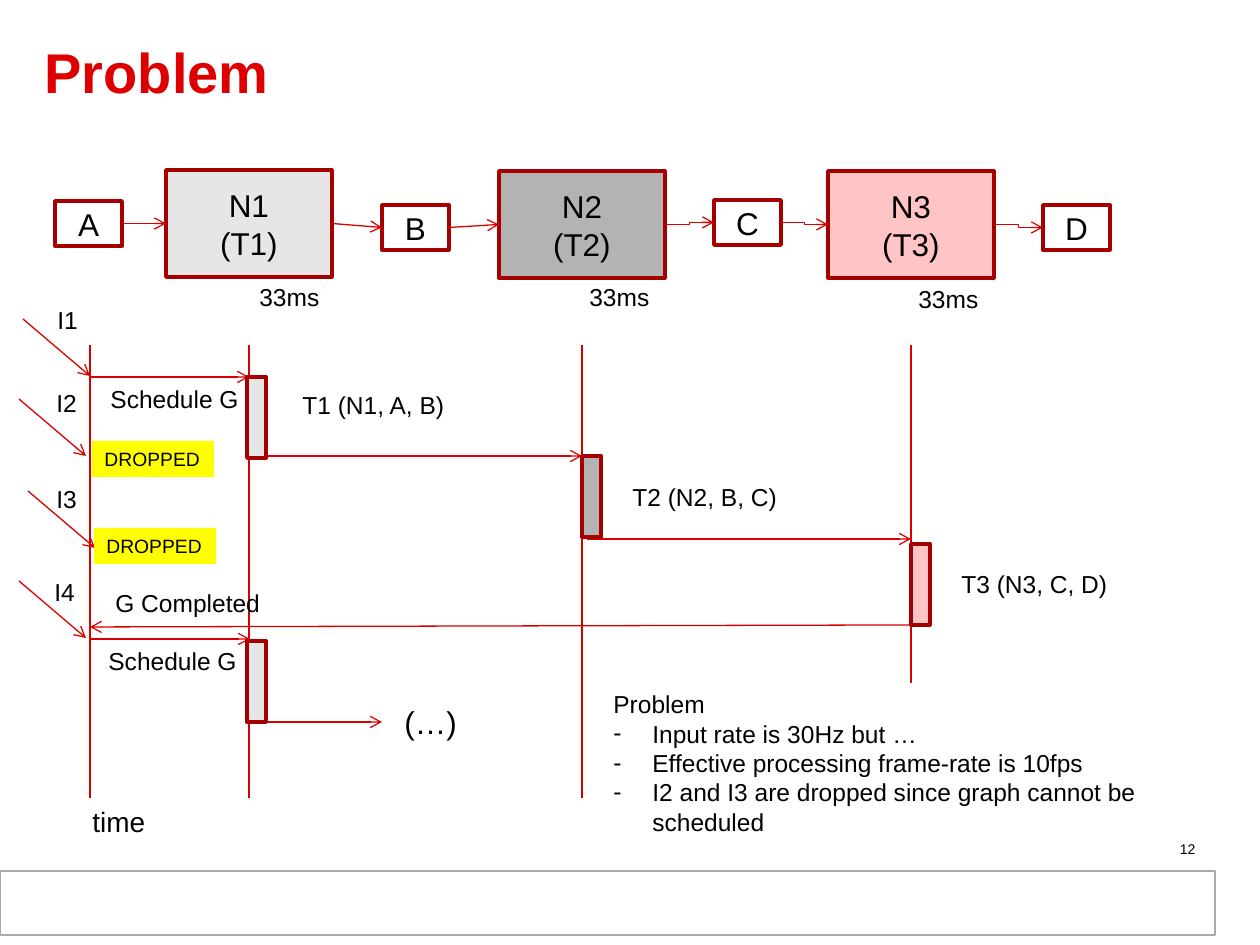
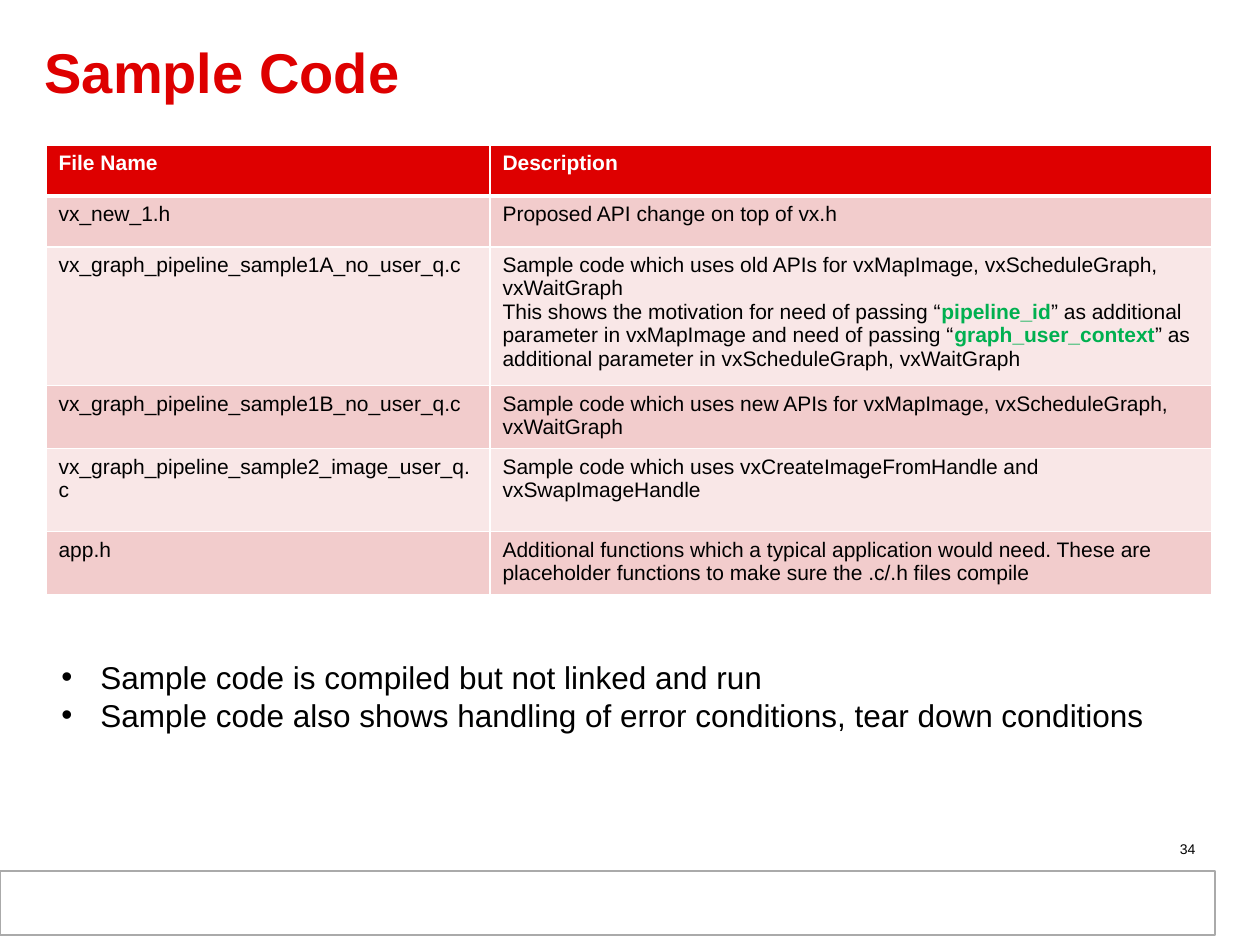
"""Build two slides: a graph scheduling problem and its sample code."""
from lxml import etree
from pptx import Presentation
from pptx.dml.color import RGBColor
from pptx.enum.shapes import MSO_CONNECTOR, MSO_SHAPE
from pptx.enum.text import MSO_ANCHOR, PP_ALIGN
from pptx.oxml.ns import qn
from pptx.util import Pt

RECT = MSO_SHAPE.RECTANGLE
LINE, ELBOW = MSO_CONNECTOR.STRAIGHT, MSO_CONNECTOR.ELBOW
LEFT, CENTER, RIGHT = PP_ALIGN.LEFT, PP_ALIGN.CENTER, PP_ALIGN.RIGHT
TOP, MIDDLE = MSO_ANCHOR.TOP, MSO_ANCHOR.MIDDLE

BLACK = RGBColor(0x00, 0x00, 0x00)
WHITE = RGBColor(0xFF, 0xFF, 0xFF)
RED = RGBColor(0xDE, 0x00, 0x00)
WIRE = RGBColor(0xD9, 0x00, 0x00)
EDGE = RGBColor(0xA4, 0x00, 0x00)
LIGHT = RGBColor(0xE6, 0xE6, 0xE6)
GRAY = RGBColor(0xB3, 0xB3, 0xB3)
PINK = RGBColor(0xFF, 0xC5, 0xC5)
YELLOW = RGBColor(0xFF, 0xFF, 0x00)
GREEN = RGBColor(0x00, 0xB0, 0x50)
FRAME = RGBColor(0xAA, 0xAA, 0xAA)
ROSE = RGBColor(0xF2, 0xCC, 0xCC)
BLUSH = RGBColor(0xF9, 0xE7, 0xE7)

FONT = "Arial"
PX = 914400 // 126
INDENT = 39

BIG, SMALL, BAR = (166, 107), (67, 45), (19, 81)
NODES = [
    ("A", 55, 201, SMALL, None),
    ("N1\n(T1)", 166, 170, BIG, LIGHT),
    ("B", 382, 205, SMALL, None),
    ("N2\n(T2)", 499, 171, BIG, GRAY),
    ("C", 714, 200, SMALL, None),
    ("N3\n(T3)", 828, 171, BIG, PINK),
    ("D", 1043, 205, SMALL, None),
]
LIVES = [90, 249, 582, 911]
LIFE_TOP, LIFE_END = 345, 798
BARS = [(247, 377, LIGHT), (582, 456, GRAY), (911, 544, PINK), (247, 641, LIGHT)]
CALLS = [
    (90, 377, 249, 377), (249, 456, 582, 456), (587, 539, 911, 539),
    (912, 625, 90, 627), (90, 639, 250, 639), (250, 722, 382, 722),
]
INPUTS = [(23, 319), (19, 399), (28, 491), (19, 581)]
STEP = (67, 57)
LABELS = [
    ("33ms", 247, 276, 86, 14), ("33ms", 577, 276, 86, 14),
    ("33ms", 906, 278, 86, 14),
    ("Schedule G", 98, 378, 155, 14), ("G Completed", 103, 582, 188, 14),
    ("T1 (N1, A, B)", 290, 384, 184, 14), ("T2 (N2, B, C)", 620, 476, 184, 14),
    ("T3 (N3, C, D)", 949, 563, 184, 14), ("Schedule G", 96, 640, 155, 14),
    ("(…)", 392, 697, 78, 18),
    ("I1", 45, 299, 155, 14), ("I2", 44, 382, 155, 14),
    ("I3", 44, 478, 155, 14), ("I4", 42, 571, 155, 14),
    ("time", 80, 798, 80, 16),
]
DROPS = [(92, 441), (94, 528)]
ISSUES = [
    "Input rate is 30Hz but …",
    "Effective processing frame-rate is 10fps",
    "I2 and I3 are dropped since graph cannot be scheduled",
]

COLS = [444, 722]
ROWS = [51, 51, 130, 59, 83, 60]
FILES = [
    ("File Name", ["Description"]),
    ("vx_new_1.h", ["Proposed API change on top of vx.h"]),
    ("vx_graph_pipeline_sample1A_no_user_q.c", [
        "Sample code which uses old APIs for vxMapImage, vxScheduleGraph, vxWaitGraph",
        [("This shows the motivation for need of passing “", False),
         ("pipeline_id", True),
         ("” as additional parameter in vxMapImage and need of passing “", False),
         ("graph_user_context", True),
         ("” as additional parameter in vxScheduleGraph, vxWaitGraph", False)],
    ]),
    ("vx_graph_pipeline_sample1B_no_user_q.c", [
        "Sample code which uses new APIs for vxMapImage, vxScheduleGraph, vxWaitGraph"]),
    ("vx_graph_pipeline_sample2_image_user_q.c", [
        "Sample code which uses vxCreateImageFromHandle and vxSwapImageHandle"]),
    ("app.h", [
        "Additional functions which a typical application would need. These are "
        "placeholder functions to make sure the .c/.h files compile"]),
]
NOTES = [
    "Sample code is compiled but not linked and run",
    "Sample code also shows handling of error conditions, tear down conditions",
]


def px(*vals):
    return [round(val * PX) for val in vals]


def add_run(para, text, size, color=BLACK, bold=False):
    run = para.add_run()
    run.text = text
    font = run.font
    font.name, font.size, font.bold = FONT, Pt(size), bold
    font.color.rgb = color


def fill_text(frame, lines, size, color=BLACK, bold=False, align=LEFT):
    """Write each line, a string or a list of (text, marked) pairs, as a paragraph."""
    for num, line in enumerate(lines):
        para = frame.add_paragraph() if num else frame.paragraphs[0]
        para.alignment = align
        for text, mark in [(line, False)] if isinstance(line, str) else line:
            add_run(para, text, size, GREEN if mark else color, mark or bold)


def add_bullet(para, mark):
    props = para._p.get_or_add_pPr()
    props.set("marL", str(INDENT * PX))
    props.set("indent", str(-INDENT * PX))
    font = etree.SubElement(props, qn("a:buFont"))
    font.set("typeface", FONT)
    etree.SubElement(props, qn("a:buChar")).set("char", mark)


def add_box(slide, at, fill=None, edge=None, width=2, lines=(), size=18,
            align=CENTER, anchor=MIDDLE):
    box = slide.shapes.add_shape(RECT, *px(*at))
    box.shadow.inherit = False
    if fill is None:
        box.fill.background()
    else:
        box.fill.solid()
        box.fill.fore_color.rgb = fill
    if edge is None:
        box.line.fill.background()
    else:
        box.line.color.rgb, box.line.width = edge, Pt(width)
    frame = box.text_frame
    frame.word_wrap, frame.vertical_anchor = True, anchor
    fill_text(frame, lines, size, align=align)
    return box


def add_label(slide, at, lines, size, align=LEFT):
    frame = slide.shapes.add_textbox(*px(*at)).text_frame
    frame.word_wrap = True
    fill_text(frame, lines, size, align=align)
    return frame


def add_wire(slide, ends, arrow=True, kind=LINE):
    wire = slide.shapes.add_connector(kind, *px(*ends))
    wire.line.color.rgb, wire.line.width = WIRE, Pt(0.75)
    if arrow:
        tail = etree.SubElement(wire.line._get_or_add_ln(), qn("a:tailEnd"))
        tail.set("type", "arrow")
    etree.SubElement(wire._element.spPr, qn("a:effectLst"))


def add_slide(deck, title, page):
    slide = deck.slides.add_slide(deck.slide_layouts[5])
    add_box(slide, (6, 872, 1205, 63), WHITE)
    add_box(slide, (0, 871, 1215, 64), WHITE, FRAME, 0.75)
    head = slide.shapes.title
    head.left, head.top, head.width, head.height = px(32, 20, 1165, 112)
    frame = head.text_frame
    frame.vertical_anchor, frame.word_wrap = MIDDLE, True
    fill_text(frame, [title], 32, RED, True)
    frame.paragraphs[0].line_spacing = 0.85
    add_label(slide, (915, 834, 293, 29), [page], 8, RIGHT)
    return slide


def draw_flow(slide):
    for text, left, top, size, fill in NODES:
        add_box(slide, (left, top, *size), fill, EDGE, lines=text.split("\n"))
    for num, (one, two) in enumerate(zip(NODES, NODES[1:])):
        (_, left, top, (wide, high), _), (_, end, low, (_, tall), _) = one, two
        add_wire(slide, (left + wide, top + high / 2, end, low + tall / 2),
                 kind=LINE if num < 3 else ELBOW)


def draw_time(slide):
    for left in LIVES:
        add_wire(slide, (left, LIFE_TOP, left, LIFE_END), arrow=False)
    for ends in CALLS:
        add_wire(slide, ends)
    for left, top in INPUTS:
        add_wire(slide, (left, top, left + STEP[0], top + STEP[1]))
    for left, top, fill in BARS:
        add_box(slide, (left, top, *BAR), fill, EDGE)
    for text, left, top, wide, size in LABELS:
        add_label(slide, (left, top, wide, size * 3), [text], size)
    for left, top in DROPS:
        add_box(slide, (left, top, 122, 36), YELLOW, lines=["DROPPED"],
                size=11, align=LEFT, anchor=TOP)
    box = add_box(slide, (601, 683, 610, 161), WHITE, lines=["Problem"] + ISSUES,
                  size=14, align=LEFT, anchor=TOP)
    for para in box.text_frame.paragraphs[1:]:
        add_bullet(para, "-")


def add_edges(cell, base):
    props = cell._tc.get_or_add_tcPr()
    for num, (side, width) in enumerate([("L", 1), ("R", 1), ("T", 1), ("B", base)]):
        edge = etree.Element(qn("a:ln" + side))
        edge.set("w", str(Pt(width)))
        paint = etree.SubElement(edge, qn("a:solidFill"))
        etree.SubElement(paint, qn("a:srgbClr")).set("val", str(WHITE))
        props.insert(num, edge)


def draw_files(slide):
    at = px(46, 145, sum(COLS), sum(ROWS))
    table = slide.shapes.add_table(len(ROWS), len(COLS), *at).table
    for col, wide in zip(table.columns, px(*COLS)):
        col.width = wide
    for num, (high, (name, about)) in enumerate(zip(px(*ROWS), FILES)):
        table.rows[num].height = high
        fill = RED if num == 0 else ROSE if num % 2 else BLUSH
        for cell, lines in zip(table.rows[num].cells, ([name], about)):
            cell.fill.solid()
            cell.fill.fore_color.rgb = fill
            fill_text(cell.text_frame, lines, 12, BLACK if num else WHITE, num == 0)
            add_edges(cell, 1 if num else 3)


deck = Presentation()
deck.slide_width, deck.slide_height = px(1260, 945)

first = add_slide(deck, "Problem", "12")
draw_flow(first)
draw_time(first)

second = add_slide(deck, "Sample Code", "34")
draw_files(second)
for para in add_label(second, (49, 652, 1178, 89), NOTES, 18).paragraphs:
    add_bullet(para, "•")

deck.save("out.pptx")
